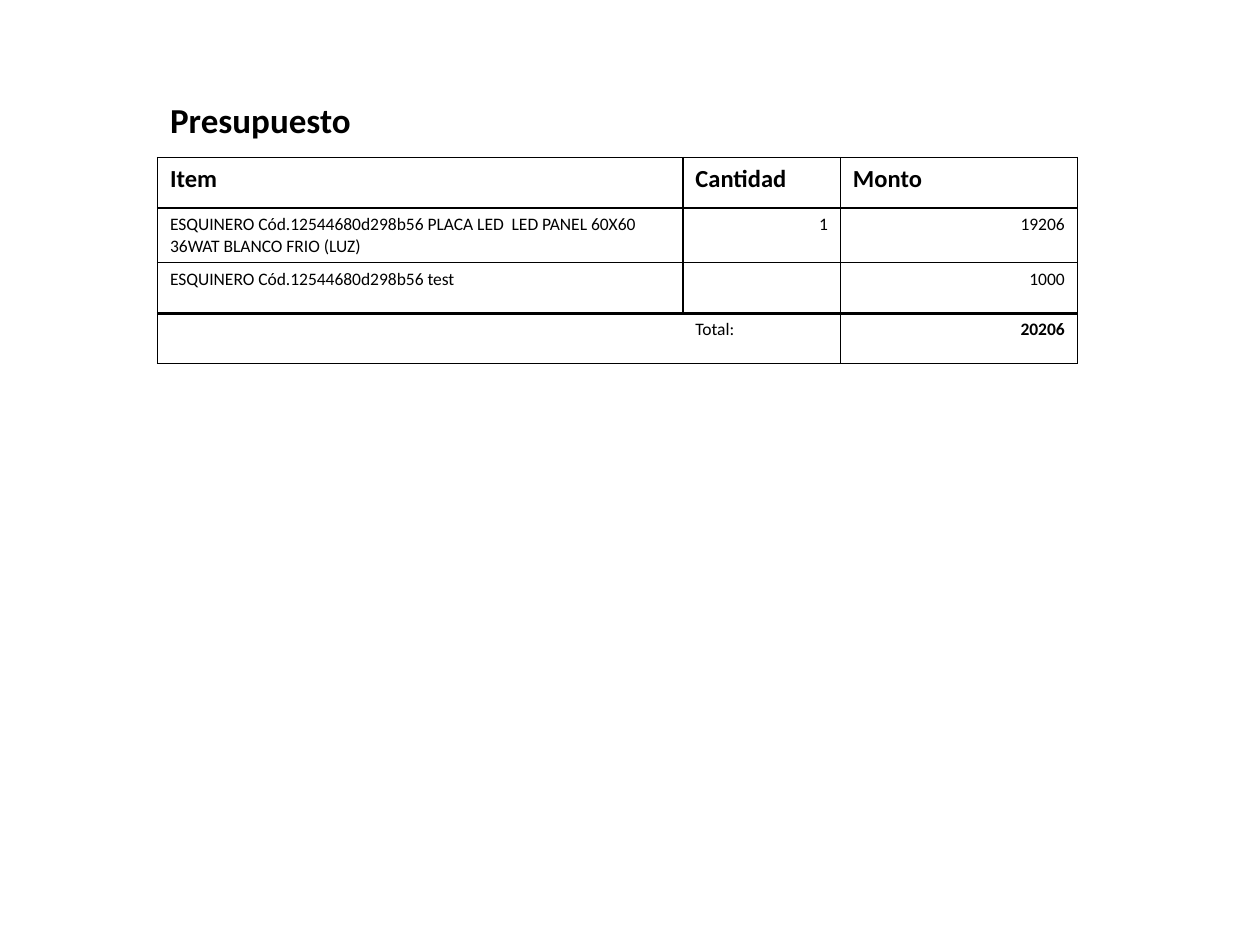
from pptx import Presentation
from pptx.dml.color import RGBColor
from pptx.enum.text import MSO_ANCHOR, MSO_AUTO_SIZE, PP_ALIGN
from pptx.oxml.ns import qn
from pptx.util import Inches, Pt
from lxml.etree import SubElement

BLACK, WHITE = "000000", "FFFFFF"
COLUMN_WIDTHS = (4.17, 1.25, 1.88)
ROW_HEIGHT = 0.4
HEADINGS = ("Item", "Cantidad", "Monto")
ITEMS = (
    ("ESQUINERO Cód.12544680d298b56 PLACA LED  LED PANEL 60X60 36WAT BLANCO FRIO (LUZ)", "1", "19206"),
    ("ESQUINERO Cód.12544680d298b56 test", "", "1000"),
)
TOTALS = ("", "Total:", "20206")


def color(value):
    return RGBColor.from_string(value)


def add_text(frame, text, size, bold=False, align=PP_ALIGN.LEFT):
    paragraph = frame.paragraphs[0]
    paragraph.alignment = align
    span = paragraph.add_run()
    span.text = text
    span.font.name = "Calibri"
    span.font.size = Pt(size)
    span.font.bold = bold
    span.font.color.rgb = color(BLACK)


def set_borders(cell, left=1, right=1, top=1, bottom=1):
    """Draw the cell's sides in points; a width of 0 hides a side."""
    properties = cell._tc.get_or_add_tcPr()
    for side, width in (("L", left), ("R", right), ("T", top), ("B", bottom)):
        line = SubElement(properties, qn(f"a:ln{side}"), w=str(Pt(width)))
        if width:
            fill = SubElement(line, qn("a:solidFill"))
            SubElement(fill, qn("a:srgbClr"), val=BLACK)
        else:
            SubElement(line, qn("a:noFill"))


def add_title(page, text):
    title = page.shapes.title
    title.left, title.top = Inches(1.25), Inches(0.73)
    title.width, title.height = Inches(6.25), Inches(3.12)
    frame = title.text_frame
    frame.word_wrap = True
    frame.auto_size = MSO_AUTO_SIZE.SHAPE_TO_FIT_TEXT
    frame.vertical_anchor = MSO_ANCHOR.TOP
    add_text(frame, text, 20, bold=True)


def add_budget_table(page):
    rows = (HEADINGS, *ITEMS, TOTALS)
    last = len(rows) - 1
    holder = page.shapes.add_table(
        len(rows), len(HEADINGS), Inches(1.25), Inches(1.25),
        Inches(sum(COLUMN_WIDTHS)), Inches(ROW_HEIGHT * len(rows)))
    table = holder.table
    table.first_row = table.horz_banding = False
    for column, width in zip(table.columns, COLUMN_WIDTHS):
        column.width = Inches(width)

    for r, values in enumerate(rows):
        table.rows[r].height = Inches(ROW_HEIGHT)
        heading, total = r == 0, r == last
        for c, text in enumerate(values):
            cell = table.cell(r, c)
            set_borders(cell,
                        left=0 if total and c == 1 else 1,
                        right=0 if total and c == 0 else 1,
                        top=2 if total else 1,
                        bottom=2 if r == last - 1 else 1)
            if total:
                cell.fill.background()
            else:
                cell.fill.solid()
                cell.fill.fore_color.rgb = color(WHITE)
            if text:
                add_text(cell.text_frame, text, 14 if heading else 10,
                         bold=heading or (total and c == 2),
                         align=PP_ALIGN.RIGHT if text.isdigit() else PP_ALIGN.LEFT)
    holder.height = Inches(2.08)


def main():
    deck = Presentation()
    deck.slide_width, deck.slide_height = Inches(10), Inches(7.5)
    page = deck.slides.add_slide(deck.slide_layouts[5])
    add_title(page, "Presupuesto")
    add_budget_table(page)
    deck.save("out.pptx")


if __name__ == "__main__":
    main()
